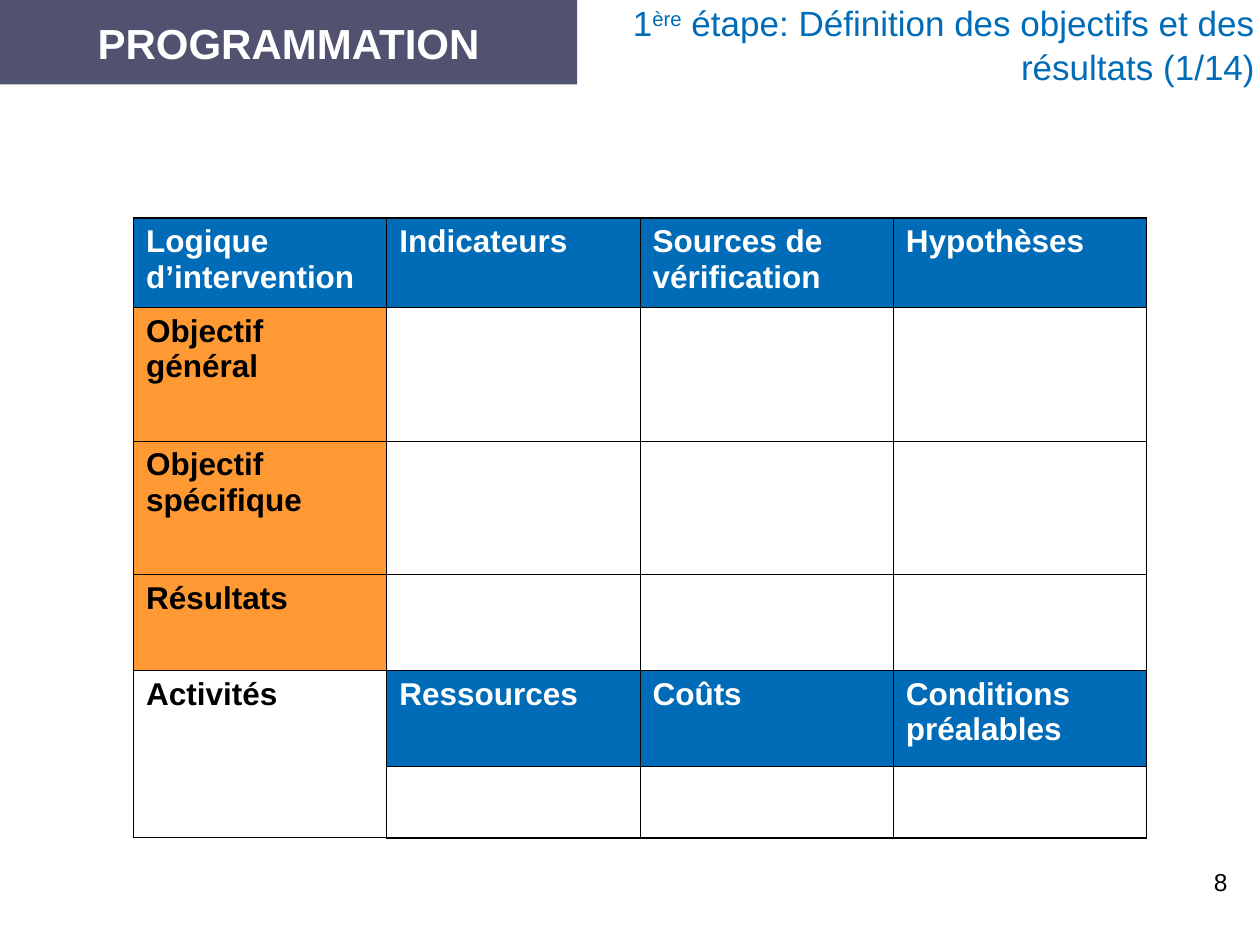
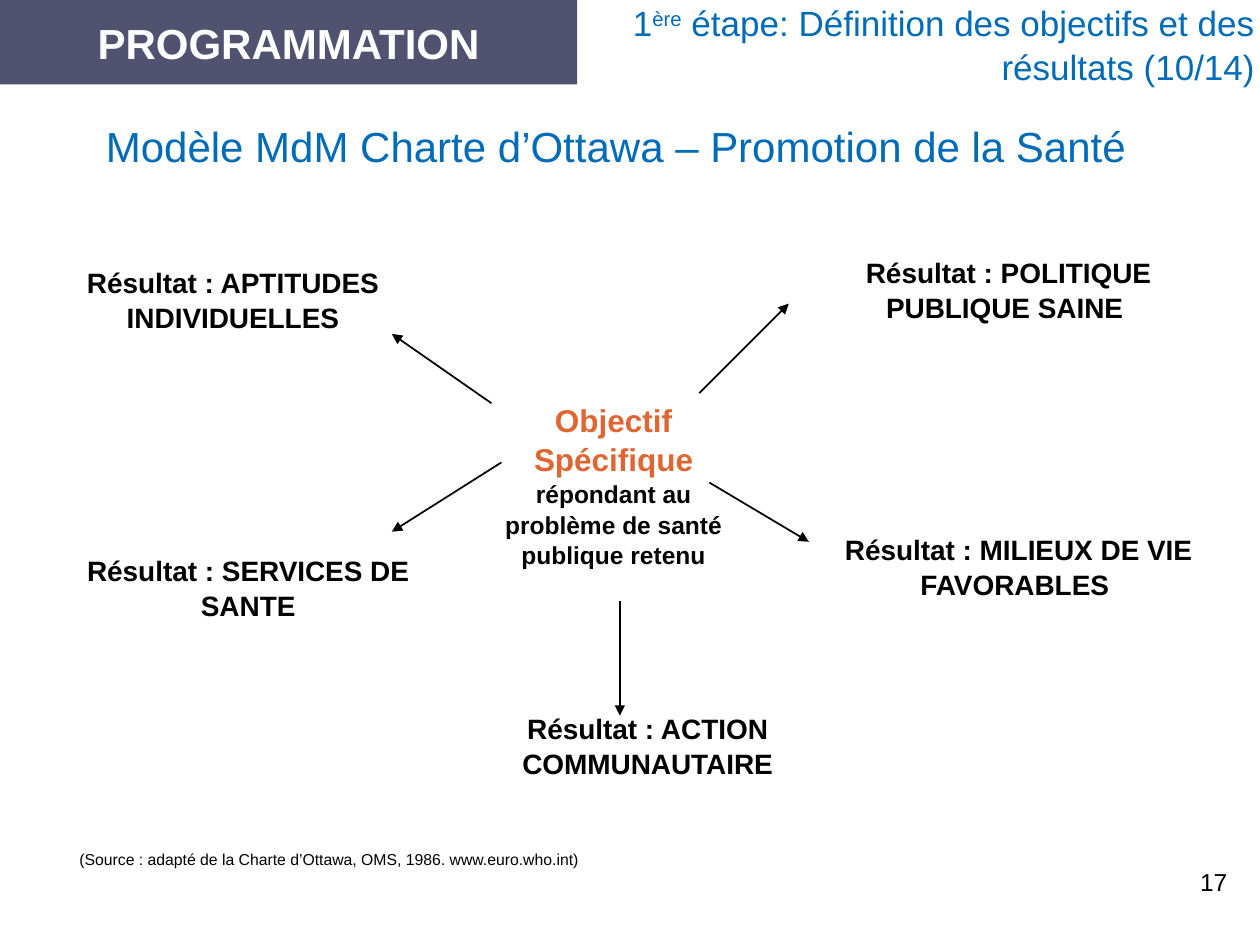
from dataclasses import dataclass

from lxml import etree
from pptx import Presentation
from pptx.dml.color import RGBColor
from pptx.enum.shapes import MSO_CONNECTOR, MSO_SHAPE
from pptx.enum.text import MSO_ANCHOR, MSO_AUTO_SIZE, PP_ALIGN
from pptx.oxml.ns import qn
from pptx.util import Inches, Pt

LEFT, CENTER, RIGHT = PP_ALIGN.LEFT, PP_ALIGN.CENTER, PP_ALIGN.RIGHT
TOP, MIDDLE = MSO_ANCHOR.TOP, MSO_ANCHOR.MIDDLE
NO_AUTOFIT = MSO_AUTO_SIZE.NONE
RECTANGLE, STRAIGHT = MSO_SHAPE.RECTANGLE, MSO_CONNECTOR.STRAIGHT


@dataclass(frozen=True)
class Theme:
    font: str = "Arial"
    white: str = "FFFFFF"
    black: str = "000000"
    blue: str = "006BB6"
    slate: str = "50526F"
    orange: str = "FF9933"
    rust: str = "DD6633"
    headline: int = 24
    step: int = 20
    strong: int = 18
    result: int = 16
    body: int = 14
    source: int = 9
    line_spacing: float = 1.04
    thin: float = 0.45
    thick: float = 1.08


theme = Theme()
tight = (0, 0, 0.04, 0)
roomy = (0.1, 0.05, 0.1, 0.05)


def place_text(shape, box, runs, align=LEFT, anchor=TOP, insets=tight, bold=False):
    """Position a shape and fill it with (text, size, colour) runs."""
    shape.left, shape.top, shape.width, shape.height = map(Inches, box)
    frame = shape.text_frame
    frame.word_wrap = True
    frame.auto_size = NO_AUTOFIT
    frame.vertical_anchor = anchor
    (frame.margin_left, frame.margin_top,
     frame.margin_right, frame.margin_bottom) = map(Inches, insets)
    paragraph = frame.paragraphs[0]
    paragraph.alignment = align
    paragraph.line_spacing = theme.line_spacing
    if insets == tight:
        paragraph._p.get_or_add_pPr().set("marL", str(Inches(0.04)))
    for text, size, colour in runs:
        run = paragraph.add_run()
        run.text = text
        run.font.name = theme.font
        run.font.size = Pt(size)
        run.font.bold = bold
        run.font.color.rgb = RGBColor.from_string(colour)
    return paragraph


def add_text(slide, *arguments, **options):
    textbox = slide.shapes.add_textbox(0, 0, 0, 0)
    return place_text(textbox, *arguments, **options)


presentation = Presentation()
presentation.slide_width = Inches(10)
presentation.slide_height = Inches(7.5)
title_only = presentation.slide_layouts[5]
logframe_slide = presentation.slides.add_slide(title_only)
ottawa_slide = presentation.slides.add_slide(title_only)

# Shared band, step heading and page number
step_shapes = (logframe_slide.shapes.title, ottawa_slide.shapes.add_textbox(0, 0, 0, 0))
for slide, step_shape, step_number, page in (
    (logframe_slide, step_shapes[0], 1, 8),
    (ottawa_slide, step_shapes[1], 10, 17),
):
    band = slide.shapes.add_shape(RECTANGLE, 0, 0, 0, 0)
    band.shadow.inherit = False
    band.fill.solid()
    band.fill.fore_color.rgb = RGBColor.from_string(theme.slate)
    band.line.fill.background()
    place_text(band, (0, 0, 4.58, 0.67), [("PROGRAMMATION", theme.headline, theme.white)],
               CENTER, MIDDLE, roomy, bold=True)

    step_texts = ("1", "ère",
                  f" étape: Définition des objectifs et des résultats ({step_number}/14)")
    heading = place_text(step_shape, (4.61, 0, 5.39, 0.74),
                         [(text, theme.step, theme.blue) for text in step_texts], RIGHT)
    heading.runs[1].font._element.set("baseline", "30000")

    add_text(slide, (7.76, 6.82, 2.08, 0.5), [(str(page), theme.body, theme.black)],
             RIGHT, insets=roomy)

# Logical framework table
row_heights = (0.71, 1.06, 1.06, 0.76, 0.76, 0.57)
table_rows = (
    ("Logique d’intervention", "Indicateurs", "Sources de vérification", "Hypothèses"),
    ("Objectif général", "", "", ""),
    ("Objectif spécifique", "", "", ""),
    ("Résultats", "", "", ""),
    ("Activités", "Ressources", "Coûts", "Conditions préalables"),
    ("", "", "", ""),
)
last_row, last_column = len(table_rows) - 1, len(table_rows[0]) - 1
table = logframe_slide.shapes.add_table(
    len(table_rows), len(table_rows[0]),
    Inches(1.06), Inches(1.73), Inches(8.04), Inches(sum(row_heights))).table
table.first_row = table.horz_banding = False
for column in table.columns:
    column.width = Inches(2.01)
for row, height in zip(table.rows, row_heights):
    row.height = Inches(height)

for row_index, row_texts in enumerate(table_rows):
    for column_index, text in enumerate(row_texts):
        cell = table.cell(row_index, column_index)
        cell.margin_left = cell.margin_right = Inches(0.06)
        cell.margin_top = cell.margin_bottom = Inches(0.05)
        properties = cell._tc.get_or_add_tcPr()
        for side, is_outer in (
            ("L", column_index == 0), ("R", column_index == last_column),
            ("T", row_index == 0), ("B", row_index == last_row),
        ):
            border = etree.SubElement(properties, qn(f"a:ln{side}"))
            border.set("w", str(Pt(theme.thick if is_outer else theme.thin)))
            border_fill = etree.SubElement(border, qn("a:solidFill"))
            etree.SubElement(border_fill, qn("a:srgbClr")).set("val", theme.black)

        is_header = row_index == 0 or (row_index == 4 and column_index > 0)
        is_objective = column_index == 0 and 1 <= row_index <= 3
        if is_header or is_objective:
            cell.fill.solid()
            cell.fill.fore_color.rgb = RGBColor.from_string(
                theme.blue if is_header else theme.orange)
        else:
            cell.fill.background()
        if text:
            cell.text_frame.text = text
            paragraph = cell.text_frame.paragraphs[0]
            paragraph._p.get_or_add_pPr().set("marL", str(Inches(0.04)))
            font = paragraph.runs[0].font
            font.name, font.size, font.bold = theme.font, Pt(theme.strong), True
            font.color.rgb = RGBColor.from_string(theme.white if is_header else theme.black)
table.cell(4, 0).merge(table.cell(5, 0))

# Ottawa charter diagram
place_text(ottawa_slide.shapes.title, (0.27, 0.76, 9.37, 0.78),
           [("Modèle MdM Charte d’Ottawa – Promotion de la Santé ", theme.headline, theme.blue)],
           CENTER, MIDDLE, (0.1, 0.05, 0.14, 0.05))
add_text(ottawa_slide, (3.83, 3.17, 2.08, 1.36),
         [("Objectif Spécifique ", theme.strong, theme.rust),
          ("répondant au problème de santé publique retenu", theme.body, theme.black)],
         CENTER, bold=True)

# Each result: text, box, arrow start, arrow end
results = (
    ("POLITIQUE PUBLIQUE SAINE ", (6.34, 2.02, 3.33, 0.85), (5.55, 3.12), (6.26, 2.41)),
    ("MILIEUX DE VIE FAVORABLES ", (6.42, 4.22, 3.33, 0.6), (5.63, 3.83), (6.42, 4.3)),
    ("ACTION COMMUNAUTAIRE", (3.35, 5.64, 3.58, 0.85), (4.92, 4.77), (4.92, 5.68)),
    ("SERVICES DE SANTE", (0.51, 4.38, 2.92, 0.85), (3.98, 3.67), (3.11, 4.22)),
    ("APTITUDES INDIVIDUELLES", (0.35, 2.1, 3, 1.1), (3.9, 3.2), (3.11, 2.65)),
)
for text, box, start, end in results:
    add_text(ottawa_slide, box, [(f"Résultat : {text}", theme.result, theme.black)],
             CENTER, bold=True)
    arrow = ottawa_slide.shapes.add_connector(STRAIGHT, *map(Inches, start + end))
    arrow.line.width = Pt(1)
    arrow.line.color.rgb = RGBColor.from_string(theme.black)
    arrow_properties = arrow._element.spPr
    etree.SubElement(arrow_properties.find(qn("a:ln")), qn("a:tailEnd")).set("type", "triangle")
    etree.SubElement(arrow_properties, qn("a:effectLst"))

add_text(ottawa_slide, (0.59, 6.74, 7.8, 0.25),
         [("(Source : adapté de la Charte d’Ottawa, OMS, 1986. www.euro.who.int)",
           theme.source, theme.black)])

presentation.save("out.pptx")
